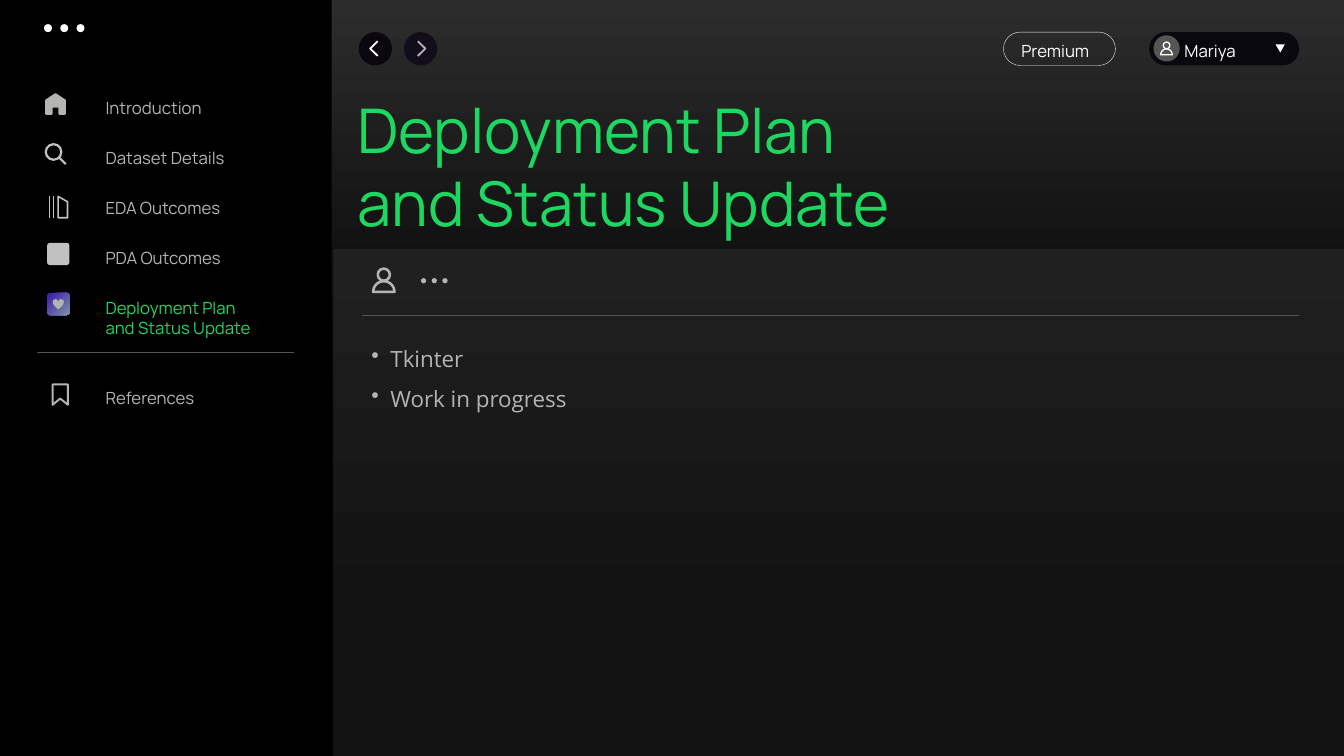
import math
from dataclasses import dataclass

from lxml import etree
from pptx import Presentation
from pptx import util as u
from pptx.dml import color
from pptx.enum import shapes, text
from pptx.oxml import ns

Cm, Pt = u.Cm, u.Pt
PRESET = shapes.MSO_SHAPE


@dataclass(frozen=True)
class Theme:
    black: str = "000000"
    white: str = "FFFFFF"
    green: str = "1ED760"
    grey: str = "B4B5B2"
    icon: str = "C1C1C1"
    rule: str = "555554"
    pill: str = "0A080F"
    back: str = "0A070E"
    forward: str = "120D1A"
    page: tuple = ((0, "2C2C2C"), (0.55, "000000"))
    panel: tuple = ((0, "202020"), (0.73, "121212"))
    liked: tuple = ((0.11, "4224B0"), (1, "7F93A0"))
    heading_font: str = "Manrope"
    body_font: str = "Open Sans"
    title_size: float = 44
    body_size: float = 16
    label_size: float = 12


THEME = Theme()


@dataclass(frozen=True)
class Box:
    """A region in centimetres."""
    x: float
    y: float
    w: float
    h: float

    def at(self, dx, dy, w, h):
        return Box(self.x + dx, self.y + dy, w, h)

    def share(self, fx, fy, fw, fh):
        return self.at(fx * self.w, fy * self.h, fw * self.w, fh * self.h)

    def emu(self):
        return Cm(self.x), Cm(self.y), Cm(self.w), Cm(self.h)


# Drawing helpers
def rgb(value):
    return color.RGBColor.from_string(value)


def paint_gradient(fill, stops, angle):
    fill.gradient()
    fill.gradient_angle = angle
    for stop, (position, value) in zip(fill.gradient_stops, stops):
        stop.position = position
        stop.color.rgb = rgb(value)


def paint(shape, fill=None, line=None, width=1.0):
    shape.shadow.inherit = False
    if isinstance(fill, tuple):
        paint_gradient(shape.fill, fill, 270)
    elif fill:
        shape.fill.solid()
        shape.fill.fore_color.rgb = rgb(fill)
    else:
        shape.fill.background()
    if line:
        shape.line.color.rgb = rgb(line)
        shape.line.width = Pt(width)
    else:
        shape.line.fill.background()
    return shape


def preset(slide, kind, box, corner=None, **style):
    shape = slide.shapes.add_shape(kind, *box.emu())
    if corner is not None:
        shape.adjustments[0] = corner
    return paint(shape, **style)


def outline(slide, box, points, close=True, **style):
    """Draws points given as fractions of the box."""
    corners = [(Cm(box.x + fx * box.w), Cm(box.y + fy * box.h)) for fx, fy in points]
    builder = slide.shapes.build_freeform(*corners[0])
    builder.add_line_segments(corners[1:], close=close)
    return paint(builder.convert_to_shape(), **style)


def stroke(slide, x1, y1, x2, y2, value, width):
    line = slide.shapes.add_connector(
        shapes.MSO_CONNECTOR.STRAIGHT, Cm(x1), Cm(y1), Cm(x2), Cm(y2))
    line.line.color.rgb = rgb(value)
    line.line.width = Pt(width)
    etree.SubElement(line._element.spPr, ns.qn("a:effectLst"))


def write(slide, box, content, size=THEME.label_size, fill=THEME.grey,
          font=THEME.heading_font, bullet=False, spacing=None):
    frame = slide.shapes.add_textbox(*box.emu()).text_frame
    frame.word_wrap = True
    frame.auto_size = text.MSO_AUTO_SIZE.SHAPE_TO_FIT_TEXT
    frame.text = content
    for paragraph in frame.paragraphs:
        if bullet:
            props = paragraph._p.get_or_add_pPr()
            props.set("marL", str(Cm(0.48)))
            props.set("indent", str(-Cm(0.48)))
            etree.SubElement(props, ns.qn("a:buChar"), char="•")
        if spacing:
            paragraph.line_spacing = spacing
        paragraph.font.name = font
        paragraph.font.size = Pt(size)
        paragraph.font.color.rgb = rgb(fill)


def dots(slide, box, pitch, fill):
    for i in range(3):
        preset(slide, PRESET.OVAL, box.at(i * pitch, 0, box.w, box.h), fill=fill)


# Icons
def person(slide, box, value, width):
    preset(slide, PRESET.OVAL, box.share(0.23, 0.06, 0.5, 0.46), line=value, width=width)
    dome = [(0.48 + 0.44 * math.cos(a), 0.95 - 0.41 * math.sin(a))
            for a in (math.pi * i / 16 for i in range(17))]
    outline(slide, box, dome, line=value, width=width)


def home(slide, box):
    walls = [(0.08, 0.34), (0.5, 0.06), (0.92, 0.34), (0.92, 0.94), (0.68, 0.94),
             (0.68, 0.62), (0.32, 0.62), (0.32, 0.94), (0.08, 0.94)]
    outline(slide, box, walls, fill=THEME.grey, line=THEME.grey, width=1.5)


def search(slide, box):
    preset(slide, PRESET.OVAL, box.share(0.06, 0.06, 0.7, 0.7), line=THEME.icon, width=1.6)
    stroke(slide, box.x + 0.66 * box.w, box.y + 0.66 * box.h,
           box.x + 0.96 * box.w, box.y + 0.96 * box.h, THEME.icon, 1.6)


def books(slide, box):
    for dx in (0.03, 0.13):
        stroke(slide, box.x + dx, box.y + 0.08, box.x + dx, box.y + 0.64, THEME.icon, 1.1)
    cover = [(0.44, 0.16), (0.86, 0.4), (0.86, 1.12), (0.44, 1.12)]
    outline(slide, box, cover, line=THEME.icon, width=1.1)


def tile(slide, box, fill=THEME.icon):
    return preset(slide, PRESET.ROUNDED_RECTANGLE, box, corner=0.126, fill=fill)


def liked(slide, box):
    tile(slide, box, THEME.liked).fill.gradient_angle = 315
    preset(slide, PRESET.HEART, box.share(0.25, 0.27, 0.5, 0.47), fill=THEME.grey)


def bookmark(slide, box):
    ribbon = [(0.05, 0.06), (0.73, 0.06), (0.73, 0.98), (0.39, 0.7), (0.05, 0.98)]
    outline(slide, box, ribbon, line=THEME.grey, width=1.4)


# Regions
def sidebar(slide, box):
    preset(slide, PRESET.RECTANGLE, box, fill=THEME.black)
    dots(slide, box.at(1.11, 0.61, 0.2, 0.2), 0.41, THEME.white)
    entries = [("Introduction", home, 1.12), ("Dataset Details", search, 1.12),
               ("EDA Outcomes", books, 1.22), ("PDA Outcomes", tile, 1.19),
               ("Deployment Plan\nand Status Update", liked, 1.19),
               ("References", bookmark, 1.3)]
    for i, (label, icon, left) in enumerate(entries):
        top = 9.65 if icon is bookmark else 2.34 + 1.26 * i
        icon(slide, box.at(left, top, 0.56, 0.56))
        write(slide, box.at(2.41, top, 5, 0.76), label,
              fill=THEME.green if icon is liked else THEME.grey)
    stroke(slide, box.x + 0.94, box.y + 8.89, box.x + 7.42, box.y + 8.89, THEME.rule, 0.5)


def top_bar(slide, box):
    # Back and forward buttons
    arrow = [(1, 0), (0, 0.5), (1, 1)]
    mirrored = [(1 - fx, fy) for fx, fy in arrow]
    for dx, disc, points, tip, value in (
            (0, THEME.back, arrow, 0.29, THEME.white),
            (1.14, THEME.forward, mirrored, 0.35, THEME.grey)):
        button = box.at(dx, 0, 0.84, 0.84)
        preset(slide, PRESET.OVAL, button, fill=disc)
        outline(slide, button.at(tip, 0.23, 0.19, 0.37), points, close=False,
                line=value, width=1.3)
    # Plan and account pills
    plan, account = box.at(16.25, 0, 2.82, 0.84), box.at(19.92, 0, 3.78, 0.84)
    preset(slide, PRESET.ROUNDED_RECTANGLE, plan, corner=0.5, line=THEME.white, width=0.25)
    write(slide, plan.at(0.2, 0.1, 2.6, 0.76), "Premium", fill=THEME.white)
    preset(slide, PRESET.ROUNDED_RECTANGLE, account, corner=0.5, fill=THEME.pill)
    write(slide, account.at(0.64, 0.1, 2.4, 0.76), "Mariya", fill=THEME.white)
    preset(slide, PRESET.OVAL, account.at(0.11, 0.08, 0.66, 0.66), fill=THEME.rule)
    person(slide, account.at(0.28, 0.23, 0.33, 0.36), THEME.white, 0.9)
    menu = preset(slide, PRESET.ISOSCELES_TRIANGLE, account.at(3.21, 0.26, 0.24, 0.2),
                  fill=THEME.white)
    menu.rotation = 60


def content_panel(slide, box):
    preset(slide, PRESET.RECTANGLE, box, fill=THEME.panel)
    person(slide, box.at(0.98, 0.46, 0.61, 0.66), THEME.grey, 1.8)
    dots(slide, box.at(2.21, 0.74, 0.13, 0.13), 0.27, THEME.grey)
    stroke(slide, box.x + 0.73, box.y + 1.68, box.x + 24.33, box.y + 1.68, THEME.rule, 0.5)
    write(slide, box.at(0.71, 1.96, 23.6, 3.23), "Tkinter\nWork in progress",
          size=THEME.body_size, font=THEME.body_font, bullet=True, spacing=1.5)


def main():
    deck = Presentation()
    deck.slide_width, deck.slide_height = Cm(33.87), Cm(19.05)
    slide = deck.slides.add_slide(deck.slide_layouts[6])
    paint_gradient(slide.background.fill, THEME.page, 270)
    sidebar(slide, Box(0, 0, 8.36, 19.05))
    top_bar(slide, Box(9.04, 0.81, 23.7, 0.84))
    write(slide, Box(8.76, 2.18, 19.91, 4.01), "Deployment Plan\nand Status Update",
          size=THEME.title_size, fill=THEME.green)
    content_panel(slide, Box(8.4, 6.27, 25.47, 12.78))
    deck.save("out.pptx")


if __name__ == "__main__":
    main()
